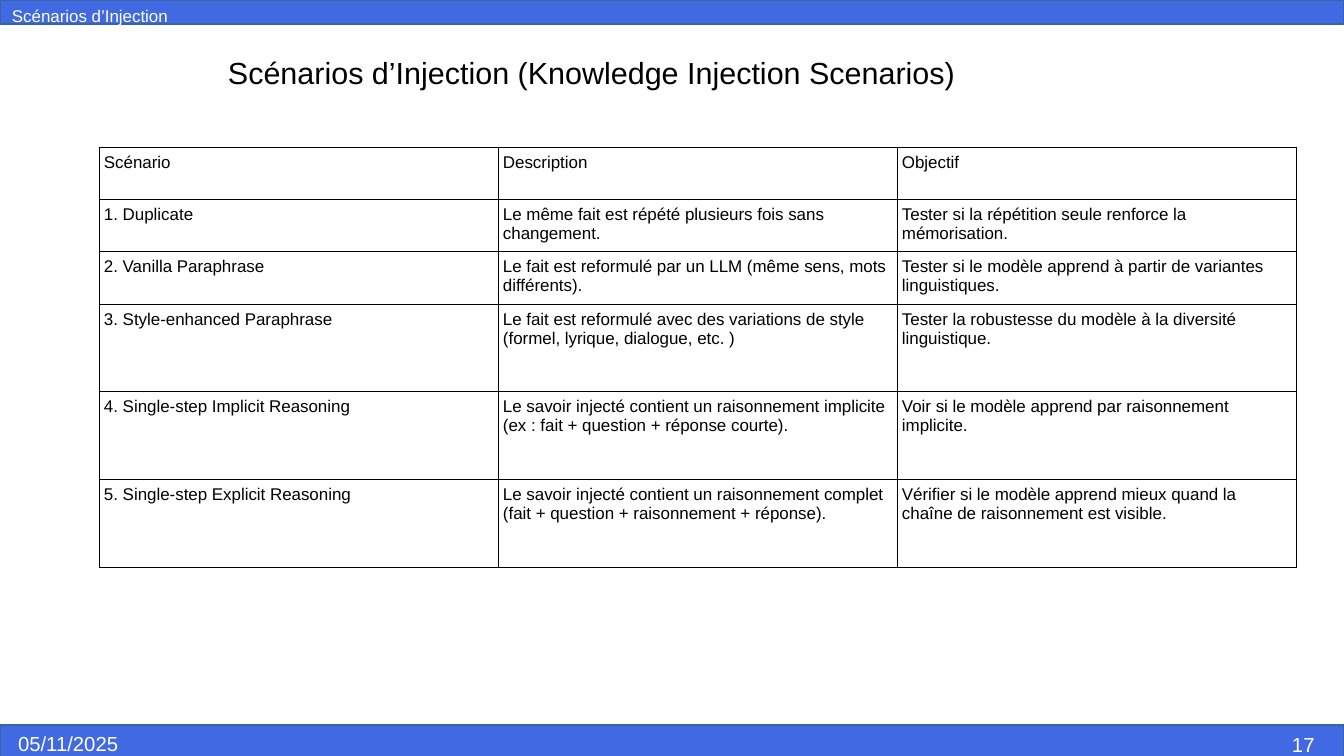
"""Build the slide on knowledge injection scenarios."""
from lxml.etree import SubElement
from pptx import Presentation
from pptx.dml.color import RGBColor
from pptx.enum.shapes import MSO_SHAPE
from pptx.oxml.ns import qn
from pptx.util import Pt

SCALE = 914400 / 122
BLUE = RGBColor(0x41, 0x69, 0xE1)
EDGE = RGBColor(0x34, 0x65, 0xA4)
BLACK = RGBColor(0, 0, 0)
IVORY = RGBColor(0xFF, 0xFF, 0xF0)
WHITE = RGBColor(0xFF, 0xFF, 0xFF)

ROWS = [
    (52, "Scénario", "Description", "Objectif"),
    (52, "1. Duplicate",
     "Le même fait est répété plusieurs fois sans changement.",
     "Tester si la répétition seule renforce la mémorisation."),
    (53, "2. Vanilla Paraphrase",
     "Le fait est reformulé par un LLM (même sens, mots différents).",
     "Tester si le modèle apprend à partir de variantes linguistiques."),
    (87, "3. Style-enhanced Paraphrase",
     "Le fait est reformulé avec des variations de style (formel, lyrique, dialogue, etc. )",
     "Tester la robustesse du modèle à la diversité linguistique."),
    (88, "4. Single-step Implicit Reasoning",
     "Le savoir injecté contient un raisonnement implicite (ex : fait + question + réponse courte).",
     "Voir si le modèle apprend par raisonnement implicite."),
    (88, "5. Single-step Explicit Reasoning",
     "Le savoir injecté contient un raisonnement complet (fait + question + raisonnement + réponse).",
     "Vérifier si le modèle apprend mieux quand la chaîne de raisonnement est visible."),
]


def px(num):
    return round(num * SCALE)


def apply(item, values):
    for name, value in values.items():
        setattr(item, name, value)


def style(para, size, color):
    apply(para.font, {"name": "Arial", "size": Pt(size)})
    para.font.color.rgb = color


def margins(left, top, right, bottom):
    names = ("margin_left", "margin_top", "margin_right", "margin_bottom")
    return dict(zip(names, map(px, (left, top, right, bottom))))


def add_bar(slide, top, height):
    bar = slide.shapes.add_shape(MSO_SHAPE.RECTANGLE, 0, px(top), px(1344), px(height))
    bar.shadow.inherit = False
    bar.fill.solid()
    bar.fill.fore_color.rgb = BLUE
    bar.line.color.rgb = EDGE
    bar.line.width = Pt(0)


def add_label(slide, text, area, size, color, left=12, top=6):
    frame = slide.shapes.add_textbox(*map(px, area)).text_frame
    apply(frame, {"word_wrap": True, "text": text, **margins(left, top, 12, 6)})
    style(frame.paragraphs[0], size, color)


def add_edges(cell):
    props = cell._tc.get_or_add_tcPr()
    for side in ("lnL", "lnR", "lnT", "lnB"):
        line = SubElement(props, qn("a:" + side), w=str(Pt(0.57)))
        fill = SubElement(line, qn("a:solidFill"))
        SubElement(fill, qn("a:srgbClr"), val=str(BLACK))


def add_grid(slide, left, top, width):
    height = sum(row[0] for row in ROWS)
    area = map(px, (left, top, width, height))
    table = slide.shapes.add_table(len(ROWS), 3, *area).table
    apply(table, {"first_row": False, "horz_banding": False})
    for row, (tall, *texts) in zip(table.rows, ROWS):
        row.height = px(tall)
        for cell, text in zip(row.cells, texts):
            apply(cell, {"text": text, **margins(5, 6, 5, 6)})
            style(cell.text_frame.paragraphs[0], 10, BLACK)
            add_edges(cell)
            cell.fill.solid()
            cell.fill.fore_color.rgb = WHITE


def main():
    deck = Presentation()
    apply(deck, {"slide_width": px(1344), "slide_height": px(756)})
    slide = deck.slides.add_slide(deck.slide_layouts[6])
    add_bar(slide, 0, 24)
    add_label(slide, "Scénarios d’Injection (Knowledge Injection Scenarios)",
              (216, 48, 937, 115), 18, BLACK)
    add_grid(slide, 99, 147, 1197)
    add_bar(slide, 725, 35)
    add_label(slide, "17", (1272, 715, 72, 68), 12, IVORY, left=20, top=17)
    add_label(slide, "05/11/2025", (0, 725, 216, 35), 12, IVORY, left=18)
    add_label(slide, "Scénarios d’Injection", (0, 0, 305, 46), 10, IVORY)
    deck.save("out.pptx")


if __name__ == "__main__":
    main()
